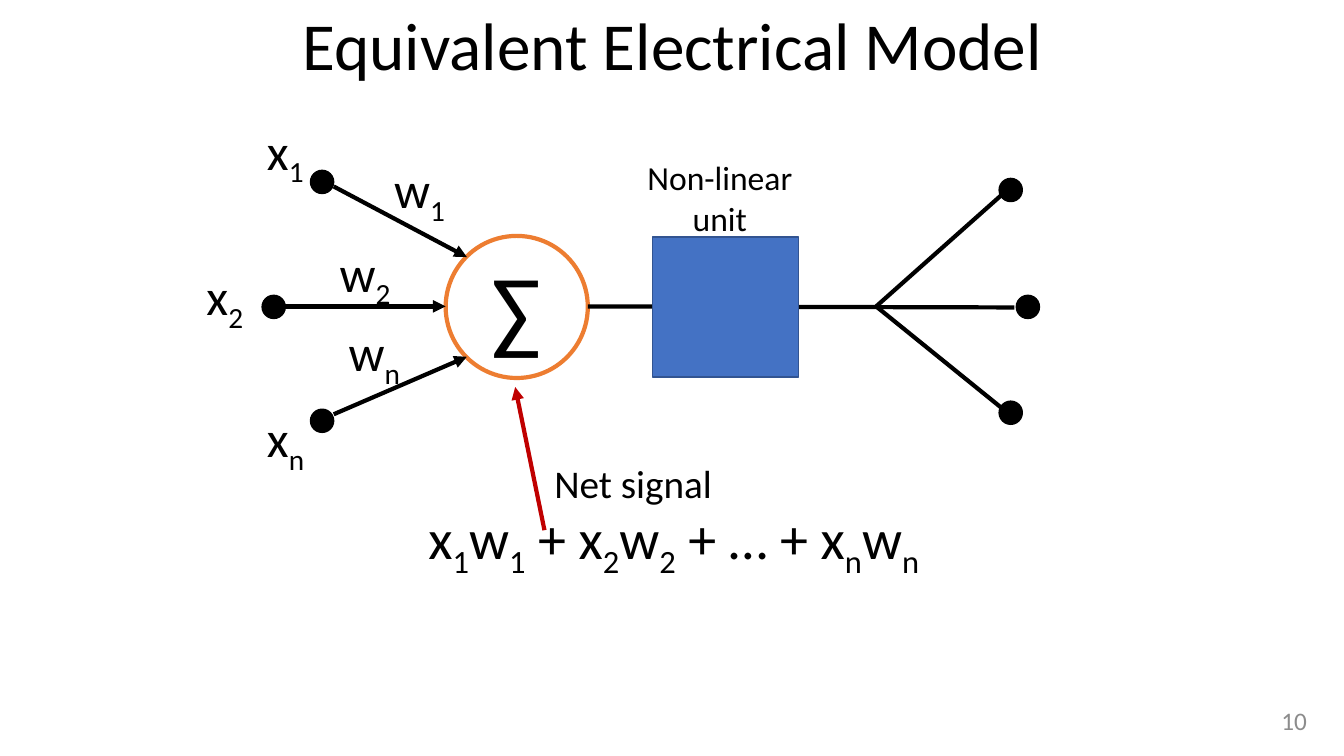
from lxml.etree import SubElement
from pptx import Presentation
from pptx.dml.color import RGBColor
from pptx.enum.shapes import MSO_CONNECTOR, MSO_SHAPE
from pptx.enum.text import MSO_ANCHOR, PP_ALIGN
from pptx.oxml.ns import qn
from pptx.util import Pt

PX = 9144
COLORS = {"black": "000000", "white": "FFFFFF", "grey": "8C8C8C", "orange": "ED7D31",
          "red": "C00000", "blue": "4472C4", "navy": "325491"}


def px(*lengths):
    """Turn px lengths into EMU."""
    return [n * PX for n in lengths]


def rgb(name):
    """Look up a named colour."""
    return RGBColor.from_string(COLORS[name])


def write(sp, text, size, color="black", align=PP_ALIGN.LEFT, anchor=MSO_ANCHOR.TOP):
    """Write text in a shape, lowering each character that follows an underscore."""
    tf = sp.text_frame
    tf.word_wrap = True
    tf.vertical_anchor = anchor
    p = tf.paragraphs[0]
    p.alignment = align
    p.font.size = Pt(size)
    p.font.name = "Calibri"
    p.font.color.rgb = rgb(color)
    base, *parts = text.split("_")
    pieces = [(base, False)]
    for part in parts:
        pieces += [(part[0], True), (part[1:], False)]
    for piece, lowered in pieces:
        if piece:
            r = p.add_run()
            r.text = piece
            if lowered:
                r._r.get_or_add_rPr().set("baseline", "-25000")
    return p


def add_text(s, box, text, size, **style):
    """Add a text box."""
    return write(s.shapes.add_textbox(*px(*box)), text, size, **style)


def add_shape(s, kind, box, fill, line, width=1):
    """Add a filled and outlined shape."""
    sp = s.shapes.add_shape(kind, *px(*box))
    sp.shadow.inherit = False
    sp.fill.solid()
    sp.fill.fore_color.rgb = rgb(fill)
    sp.line.color.rgb = rgb(line)
    sp.line.width = Pt(width)
    return sp


def add_dot(s, x, y):
    """Add a terminal dot at its top left corner."""
    add_shape(s, MSO_SHAPE.OVAL, (x, y, 23, 23), "black", "black")


def add_line(s, start, end, color="black", arrow=False):
    """Add a straight line, with an arrowhead at its end if asked."""
    cxn = s.shapes.add_connector(MSO_CONNECTOR.STRAIGHT, *px(*start, *end))
    cxn.line.color.rgb = rgb(color)
    cxn.line.width = Pt(3)
    if arrow:
        SubElement(cxn.line._get_or_add_ln(), qn("a:tailEnd"), type="triangle")
    SubElement(cxn._element.spPr, qn("a:effectLst"))


def main():
    """Build the neuron model slide."""
    prs = Presentation()
    prs.slide_width, prs.slide_height = px(1333, 750)
    s = prs.slides.add_slide(prs.slide_layouts[6])

    title = add_text(s, (92, 0, 1150, 96), "Equivalent Electrical Model", 48,
                     align=PP_ALIGN.CENTER, anchor=MSO_ANCHOR.MIDDLE)
    title.line_spacing = 0.9
    add_text(s, (1224, 695, 82, 40), "10", 18, color="grey",
             align=PP_ALIGN.RIGHT, anchor=MSO_ANCHOR.MIDDLE)

    neuron = add_shape(s, MSO_SHAPE.OVAL, (442, 234, 141, 141), "white", "orange", 3)
    write(neuron, "∑", 66, align=PP_ALIGN.CENTER, anchor=MSO_ANCHOR.MIDDLE)

    inputs = [
        ("1", (308, 169), (255, 114), (381, 152), (331, 185), (463, 255)),
        ("2", (260, 293), (195, 258), (327, 235), (282, 304), (442, 304)),
        ("n", (308, 406), (255, 399), (336, 314), (331, 411), (463, 354)),
    ]
    for index, dot, signal, weight, start, end in inputs:
        add_line(s, start, end, arrow=True)
        add_dot(s, *dot)
        add_text(s, (*signal, 73, 71), f"x_{index}", 36)
        add_text(s, (*weight, 82, 71), f"w_{index}", 36)

    fork = (869, 304)
    add_line(s, (583, 304), (1006, 305))
    for end in ((995, 192), (995, 406)):
        add_line(s, fork, end)
    for dot in ((991, 177), (991, 398), (1008, 293)):
        add_dot(s, *dot)

    add_text(s, (415, 495, 542, 77), "x_1w_1 + x_2w_2 + … + x_nw_n", 40)
    add_line(s, (540, 526), (511, 384), "red", arrow=True)
    add_text(s, (540, 451, 181, 57), "Net signal", 28)
    add_shape(s, MSO_SHAPE.RECTANGLE, (647, 235, 145, 139), "blue", "navy")
    add_text(s, (621, 151, 186, 91), "Non-linear unit", 24, align=PP_ALIGN.CENTER)

    prs.save("out.pptx")


if __name__ == "__main__":
    main()
